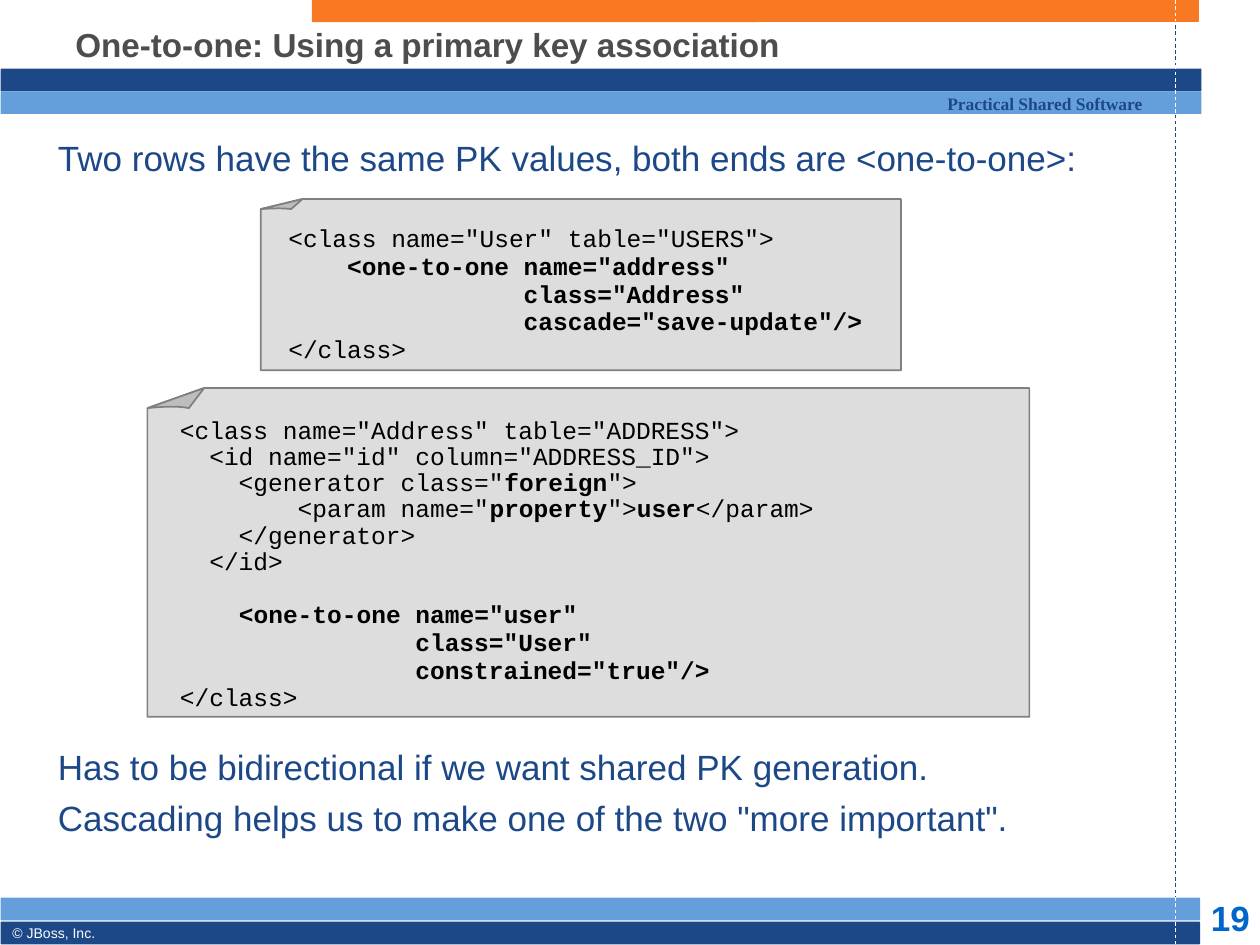
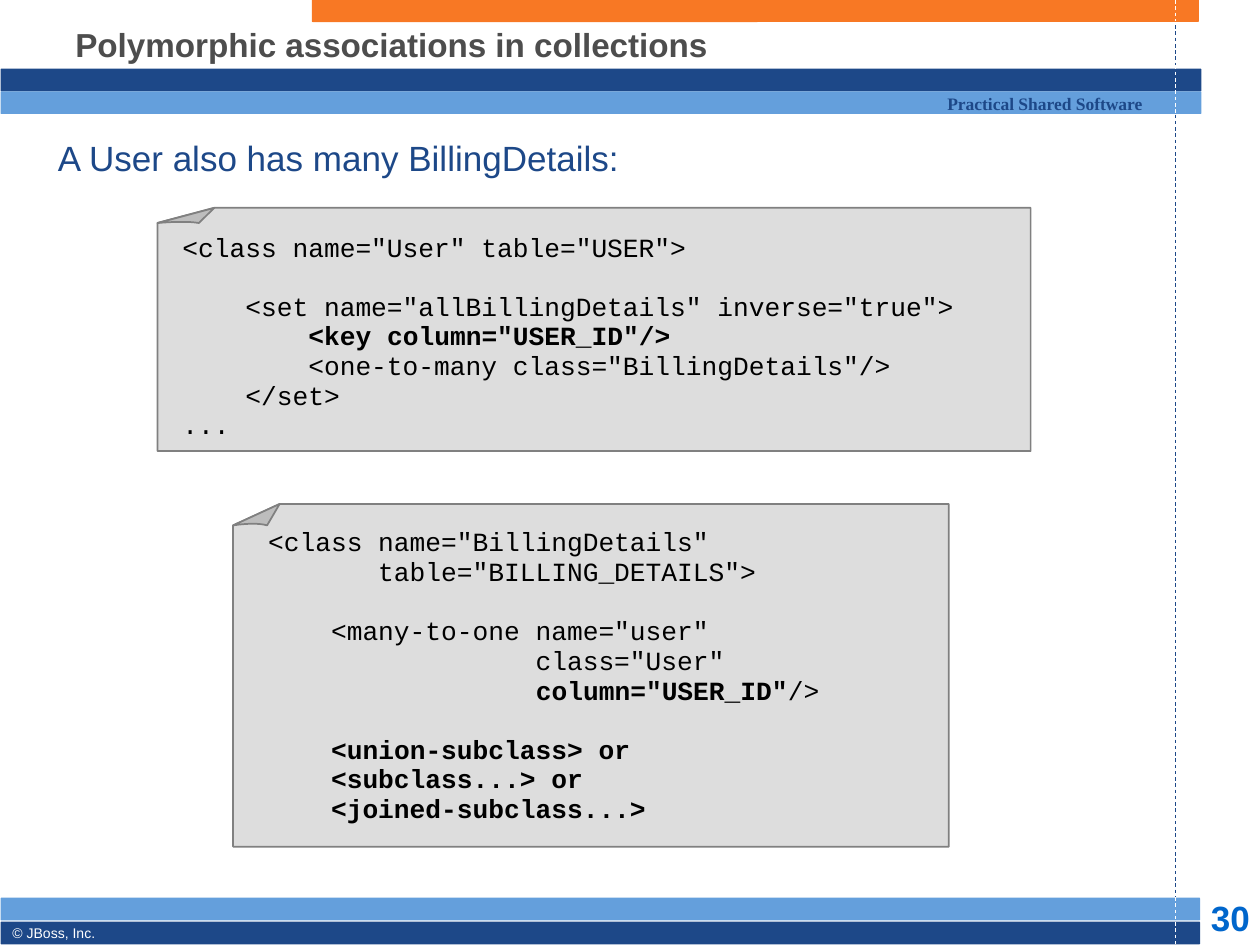
from dataclasses import dataclass

from pptx import Presentation
from pptx.dml.color import RGBColor
from pptx.enum.dml import MSO_LINE
from pptx.enum.shapes import MSO_CONNECTOR, MSO_SHAPE
from pptx.enum.text import MSO_ANCHOR, PP_ALIGN
from pptx.oxml.ns import qn
from pptx.util import Inches, Pt

ROUNDED = MSO_SHAPE.ROUNDED_RECTANGLE
STRAIGHT = MSO_CONNECTOR.STRAIGHT
DASHED = MSO_LINE.DASH
TOP, MIDDLE = MSO_ANCHOR.TOP, MSO_ANCHOR.MIDDLE
LEFT, CENTER = PP_ALIGN.LEFT, PP_ALIGN.CENTER


@dataclass(frozen=True)
class Theme:
    navy: str = "1D4888"
    sky: str = "649FDC"
    orange: str = "F87824"
    white: str = "FFFFFF"
    black: str = "000000"
    title_gray: str = "4D4D4D"
    number_blue: str = "0066CC"
    paper: str = "DDDDDD"
    fold: str = "BDBDBD"
    paper_edge: str = "808080"
    sans: str = "Arial"
    serif: str = "Times New Roman"
    mono: str = "Courier New"
    title_size: int = 19
    body_size: int = 20
    number_size: int = 20
    tagline_size: int = 10
    footer_size: int = 8
    line_height: float = 1.2
    paragraph_gap: int = 5


class Deck:
    def __init__(self, theme):
        self.theme = theme
        self.presentation = Presentation()
        self.presentation.slide_width = Inches(10)
        self.presentation.slide_height = Inches(7.5)
        self.slide = None

    def paint(self, shape, fill, edge, weight):
        shape.shadow.inherit = False
        shape.fill.solid()
        shape.fill.fore_color.rgb = RGBColor.from_string(fill)
        shape.line.color.rgb = RGBColor.from_string(edge)
        shape.line.width = Pt(weight)

    def band(self, left, top, width, color):
        bar = self.slide.shapes.add_shape(
            ROUNDED, Inches(left), Inches(top), Inches(width), Inches(0.17))
        bar.adjustments[0] = 0.01
        self.paint(bar, color, color, 0.75)

    def margin_line(self, top, bottom, color):
        x = Inches(9.33)
        rule = self.slide.shapes.add_connector(
            STRAIGHT, x, Inches(top), x, Inches(bottom))
        rule.line.color.rgb = RGBColor.from_string(color)
        rule.line.width = Pt(0.5)
        rule.line.dash_style = DASHED
        properties = rule._element.spPr
        properties.append(properties.makeelement(qn("a:effectLst"), {}))

    def text(self, box, lines, size, color, font, bold=False, spacing=1.0, tight=0,
             gap=0, insets=(0.1, 0.05), anchor=TOP, align=LEFT):
        frame = self.slide.shapes.add_textbox(*map(Inches, box)).text_frame
        side, above = map(Inches, insets)
        frame_format = {
            "word_wrap": True, "vertical_anchor": anchor, "margin_left": side,
            "margin_right": side, "margin_top": above,
            "margin_bottom": min(above, Inches(0.05)),
        }
        for name, value in frame_format.items():
            setattr(frame, name, value)
        before = 0
        paragraph = None
        for index, line in enumerate(lines):
            ratio = 0.89 if index < tight else spacing
            leading = size * self.theme.line_height * ratio
            if not line:
                before += leading
                continue
            paragraph = frame.add_paragraph() if paragraph else frame.paragraphs[0]
            paragraph_format = {"alignment": align, "line_spacing": Pt(leading),
                                "space_before": Pt(before)}
            for name, value in paragraph_format.items():
                setattr(paragraph, name, value)
            for part, words in enumerate(line.split("*")):
                if words:
                    run = paragraph.add_run()
                    run.text = words
                    run_format = {"name": font, "size": Pt(size),
                                  "bold": bold or part % 2 == 1}
                    for name, value in run_format.items():
                        setattr(run.font, name, value)
                    run.font.color.rgb = RGBColor.from_string(color)
            before = gap

    def outline(self, points, fill):
        corners = [(Inches(x), Inches(y)) for x, y in points]
        builder = self.slide.shapes.build_freeform(*corners[0])
        builder.add_line_segments(corners[1:], close=True)
        self.paint(builder.convert_to_shape(), fill, self.theme.paper_edge, 1)

    def code_note(self, sheet, fold, text_at, code, size, tight=1):
        left, top, right, bottom = sheet
        fold_width, fold_height = fold
        crease = top + fold_height
        tip = (left + fold_width, top)
        self.outline([(right, bottom), (left, bottom), (left, crease), tip,
                      (right, top)], self.theme.paper)
        curl = []
        for step in range(9):
            t = step / 8
            bend = 2 * t * (1 - t)
            curl.append((left + fold_width * (0.73 * (1 - t) ** 2 + 0.49 * bend),
                         crease - 0.15 * fold_height * bend))
        self.outline([tip, *curl], self.theme.fold)
        x, y = text_at
        self.text((x, y, right - x, bottom - y), code.strip("\n").split("\n"), size,
                  self.theme.black, self.theme.mono, spacing=0.94, tight=tight,
                  insets=(0.1, 0.2))

    def body(self, top, lines):
        theme = self.theme
        self.text((0.46, top, 8.8, 0.4 * len(lines)), lines, theme.body_size,
                  theme.navy, theme.sans, gap=theme.paragraph_gap, insets=(0, 0))

    def start_slide(self, title, number):
        theme = self.theme
        self.slide = self.presentation.slides.add_slide(
            self.presentation.slide_layouts[6])
        for band in ((0.01, 0.55, 9.52, theme.navy), (0.01, 0.73, 9.52, theme.sky),
                     (0.01, 7.13, 9.51, theme.sky), (0.01, 7.32, 9.51, theme.navy),
                     (2.48, 0, 7.03, theme.orange)):
            self.band(*band)
        for rule in ((0, 0.17, theme.white), (0.2, 0.52, theme.navy),
                     (0.52, 0.91, theme.white), (0.91, 7.13, theme.navy),
                     (7.12, 7.49, theme.white)):
            self.margin_line(*rule)
        self.text((0, 7.31, 1.2, 0.19), ["© JBoss, Inc."], theme.footer_size,
                  theme.white, theme.sans, spacing=0.84)
        self.text((9.53, 7.14, 0.47, 0.29), [number], theme.number_size,
                  theme.number_blue, theme.sans, bold=True, spacing=0.93,
                  insets=(0, 0), align=CENTER)
        self.text((7.42, 0.71, 1.95, 0.23), ["Practical Shared Software"],
                  theme.tagline_size, theme.navy, theme.serif, bold=True, spacing=0.86)
        self.text((0.5, 0.14, 8.5, 0.42), [title], theme.title_size,
                  theme.title_gray, theme.sans, bold=True, anchor=MIDDLE)


USER_ONE_TO_ONE = """
<class name="User" table="USERS">
*    <one-to-one name="address"*
*                class="Address"*
*                cascade="save-update"/>*
</class>
"""

ADDRESS_FOREIGN_KEY = """
<class name="Address" table="ADDRESS">
  <id name="id" column="ADDRESS_ID">
    <generator class="*foreign*">
        <param name="*property*">*user*</param>
    </generator>
  </id>

    *<one-to-one name="user"*
*                class="User"*
*                constrained="true"/>*
</class>
"""

USER_BILLING_SET = """
<class name="User" table="USER">

    <set name="allBillingDetails" inverse="true">
        *<key column="USER_ID"/>*
        <one-to-many class="BillingDetails"/>
    </set>
...
"""

BILLING_DETAILS = """
<class name="BillingDetails"
       table="BILLING_DETAILS">

    <many-to-one name="user"
                 class="User"
                 *column="USER_ID"*/>

    *<union-subclass> or*
*    <subclass...> or*
*    <joined-subclass...>*
"""


def main():
    deck = Deck(Theme())

    deck.start_slide("One-to-one: Using a primary key association", "19")
    deck.body(1.08, ["Two rows have the same PK values, both ends are <one-to-one>:"])
    deck.code_note((2.07, 1.58, 7.15, 2.94), (0.33, 0.08), (2.19, 1.6),
                   USER_ONE_TO_ONE, 14)
    deck.code_note((1.17, 3.08, 8.17, 5.69), (0.45, 0.16), (1.33, 3.12),
                   ADDRESS_FOREIGN_KEY, 14, tight=7)
    deck.body(5.92, ["Has to be bidirectional if we want shared PK generation.",
                     'Cascading helps us to make one of the two "more important".'])

    deck.start_slide("Polymorphic associations in collections", "30")
    deck.body(1.08, ["A User also has many BillingDetails:"])
    deck.code_note((1.25, 1.65, 8.18, 3.58), (0.45, 0.12), (1.35, 1.66),
                   USER_BILLING_SET, 15)
    deck.code_note((1.85, 4, 7.53, 6.72), (0.37, 0.17), (2.03, 4),
                   BILLING_DETAILS, 15)

    deck.presentation.save("out.pptx")


if __name__ == "__main__":
    main()
